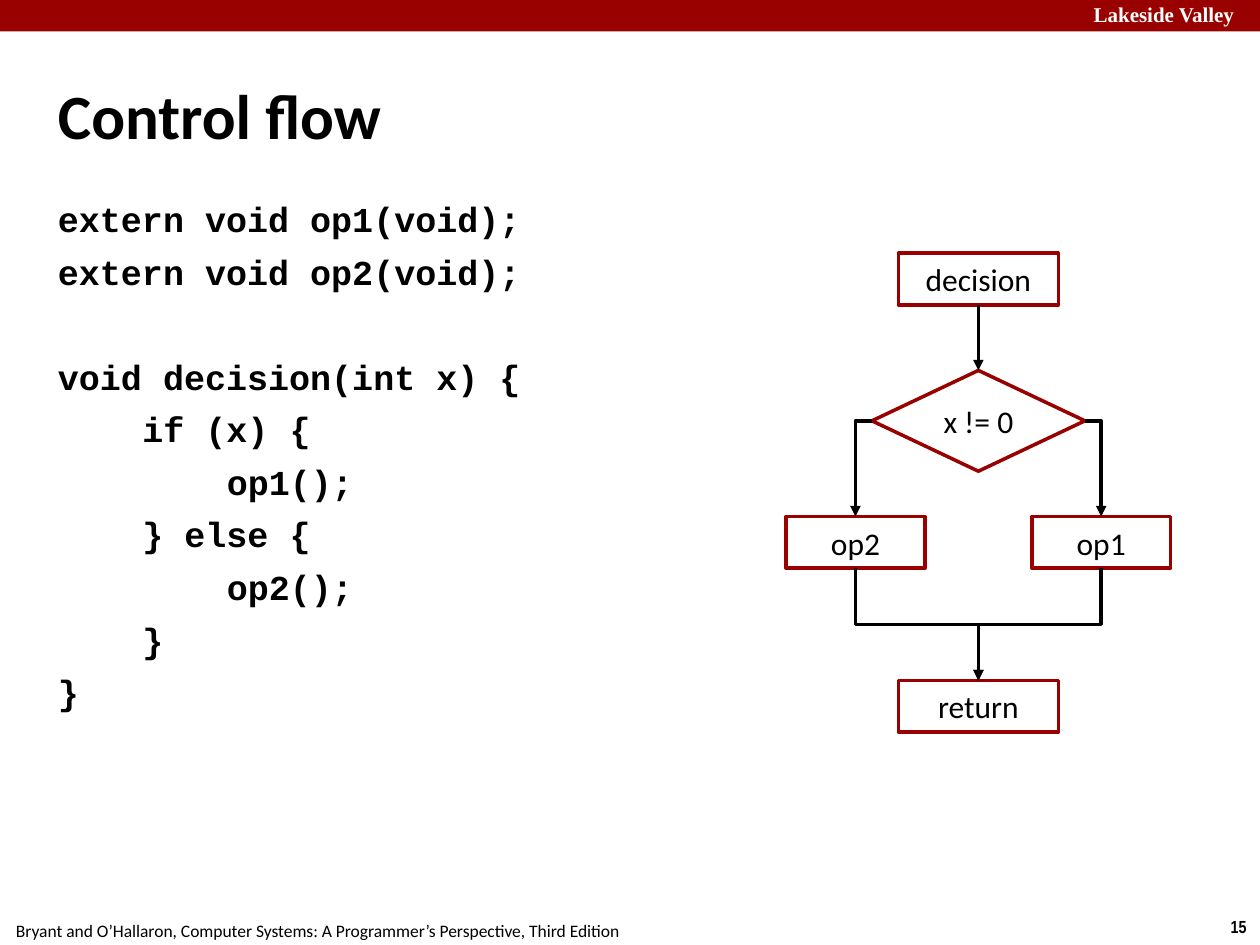
from lxml import etree
from pptx import Presentation
from pptx.dml.color import RGBColor
from pptx.enum.shapes import MSO_CONNECTOR, MSO_SHAPE
from pptx.enum.text import MSO_ANCHOR, PP_ALIGN
from pptx.oxml.ns import qn
from pptx.util import Inches, Pt

LEFT, CENTER = PP_ALIGN.LEFT, PP_ALIGN.CENTER
TOP, MIDDLE = MSO_ANCHOR.TOP, MSO_ANCHOR.MIDDLE
STRAIGHT, ELBOW = MSO_CONNECTOR.STRAIGHT, MSO_CONNECTOR.ELBOW
RECTANGLE = MSO_SHAPE.RECTANGLE
PROCESS, DECISION = MSO_SHAPE.FLOWCHART_PROCESS, MSO_SHAPE.FLOWCHART_DECISION

COLORS = {"red": "990000", "black": "000000", "white": "FFFFFF"}

# Font formats: name, size, bold, color
FORMATS = {
    "title": {"name": "Calibri", "size": Pt(36), "bold": True, "color": "black"},
    "code": {"name": "Courier New", "size": Pt(20), "bold": True, "color": "black"},
    "node": {"name": "Calibri", "size": Pt(18), "bold": False, "color": "black"},
    "banner": {"name": "Times New Roman", "size": Pt(12), "bold": True, "color": "white"},
    "footer": {"name": "Calibri", "size": Pt(10), "bold": False, "color": "black"},
    "number": {"name": "Arial Narrow", "size": Pt(10), "bold": True, "color": "black"},
}

# Code lines: indent level, text, space before in points
CODE = [
    (0, "extern void op1(void);", 6),
    (0, "extern void op2(void);", 6),
    (0, "void decision(int x) {", 36),
    (1, "if (x) {", 6),
    (2, "op1();", 6),
    (1, "} else {", 6),
    (2, "op2();", 6),
    (1, "}", 6),
    (0, "}", 6),
]
CODE_INDENT = Inches(0.67)


def color(name):
    return RGBColor.from_string(COLORS[name])


def write(paragraph, text, style, alignment=LEFT):
    run = paragraph.add_run()
    run.text = text
    paragraph.alignment = alignment
    for key, value in FORMATS[style].items():
        if key == "color":
            run.font.color.rgb = color(value)
        else:
            setattr(run.font, key, value)


def set_frame(frame, inset, anchor=TOP, wrap=True):
    values = {"margin_left": inset, "margin_right": inset, "vertical_anchor": anchor,
              "margin_top": min(inset, Inches(0.05)),
              "margin_bottom": min(inset, Inches(0.05)), "word_wrap": wrap}
    for key, value in values.items():
        setattr(frame, key, value)


def add_label(slide, box, text, style, alignment, inset):
    frame = slide.shapes.add_textbox(*map(Inches, box)).text_frame
    set_frame(frame, Inches(inset), wrap=False)
    write(frame.paragraphs[0], text, style, alignment)


def add_box(slide, kind, box, fill, line=None):
    shape = slide.shapes.add_shape(kind, *map(Inches, box))
    shape.shadow.inherit = False
    shape.fill.solid()
    shape.fill.fore_color.rgb = color(fill)
    if line:
        shape.line.color.rgb = color(line)
        shape.line.width = Pt(2)
    else:
        shape.line.fill.background()
    return shape


def add_arrow(slide, kind, begin, end):
    connector = slide.shapes.add_connector(kind, *map(Inches, begin + end))
    connector.line.color.rgb = color("black")
    connector.line.width = Pt(2)
    properties = connector._element.spPr
    etree.SubElement(properties.find(qn("a:ln")), qn("a:tailEnd"), type="triangle")
    etree.SubElement(properties, qn("a:effectLst"))
    return connector


def add_corner_arrow(slide, begin, end):
    """Goes sideways, then down."""
    connector = add_arrow(slide, ELBOW, begin, end)
    connector._element.spPr.find(qn("a:prstGeom")).set("prst", "bentConnector2")


def add_merge_arrow(slide, begin, end):
    """Goes down, sideways and down: a sideways elbow turned by 90 degrees."""
    across, down = end[0] - begin[0], end[1] - begin[1]
    center_x, center_y = (begin[0] + end[0]) / 2, (begin[1] + end[1]) / 2
    connector = add_arrow(slide, ELBOW,
                          (center_x - down / 2, center_y + across / 2),
                          (center_x + down / 2, center_y - across / 2))
    connector._element.spPr.find(qn("a:xfrm")).set("rot", str(90 * 60000))


def add_frame(slide, width, height):
    # Footer, slide number and top banner
    add_label(slide, (width - 0.34, height - 0.28, 0.34, 0.27), "15", "number", CENTER, 0.1)
    add_label(slide, (-0.02, height - 0.25, 5.08, 0.27),
              "Bryant and O’Hallaron, Computer Systems: A Programmer’s Perspective, Third Edition",
              "footer", CENTER, 0.1)
    add_box(slide, RECTANGLE, (0, 0, width, 0.25), "red")
    add_label(slide, (width - 1.36, -0.03, 1.44, 0.28), "Lakeside Valley", "banner", LEFT, 0.04)


def add_title(slide, box, text):
    title = slide.shapes.title
    title.left, title.top, title.width, title.height = map(Inches, box)
    set_frame(title.text_frame, Inches(0.04), MIDDLE)
    write(title.text_frame.paragraphs[0], text, "title")


def add_code(slide, box):
    frame = slide.shapes.add_textbox(*map(Inches, box)).text_frame
    set_frame(frame, Inches(0.04))
    for index, (level, text, space) in enumerate(CODE):
        paragraph = frame.add_paragraph() if index else frame.paragraphs[0]
        write(paragraph, text, "code")
        paragraph.space_before = Pt(space)
        paragraph.line_spacing = Pt(24)
        paragraph._p.get_or_add_pPr().set("marL", str(level * CODE_INDENT))


def add_flowchart(slide, box):
    left, top, width, height = box
    middle = left + width / 2
    node_height, end_width, branch_width = 0.41, 1.27, 1.1
    test_width, test_height = 1.69, 0.8
    test_top, branch_top = top + 0.93, top + 2.09
    return_top = top + height - node_height
    op2_x, op1_x = left + branch_width / 2, left + width - branch_width / 2

    # Nodes: kind, text, center, top, width, height
    nodes = [
        (PROCESS, "decision", middle, top, end_width, node_height),
        (DECISION, "x != 0", middle, test_top, test_width, test_height),
        (PROCESS, "op2", op2_x, branch_top, branch_width, node_height),
        (PROCESS, "op1", op1_x, branch_top, branch_width, node_height),
        (PROCESS, "return", middle, return_top, end_width, node_height),
    ]
    for kind, text, x, y, node_width, tall in nodes:
        shape = add_box(slide, kind, (x - node_width / 2, y, node_width, tall), "white", "red")
        set_frame(shape.text_frame, Inches(0.1), MIDDLE, wrap=False)
        write(shape.text_frame.paragraphs[0], text, "node", CENTER)

    # Arrows
    add_arrow(slide, STRAIGHT, (middle, top + node_height), (middle, test_top))
    for x, side in ((op2_x, -1), (op1_x, 1)):
        corner = (middle + side * test_width / 2, test_top + test_height / 2)
        add_corner_arrow(slide, corner, (x, branch_top))
        add_merge_arrow(slide, (x, branch_top + node_height), (middle, return_top))


presentation = Presentation()
presentation.slide_width, presentation.slide_height = Inches(10), Inches(7.5)
slide = presentation.slides.add_slide(presentation.slide_layouts[5])
add_frame(slide, 10, 7.5)
add_title(slide, (0.42, 0.28, 9.17, 1.25), "Control flow")
add_code(slide, (0.42, 1.53, 4.5, 5.94))
add_flowchart(slide, (6.24, 2.01, 3.05, 3.8))
presentation.save("out.pptx")
